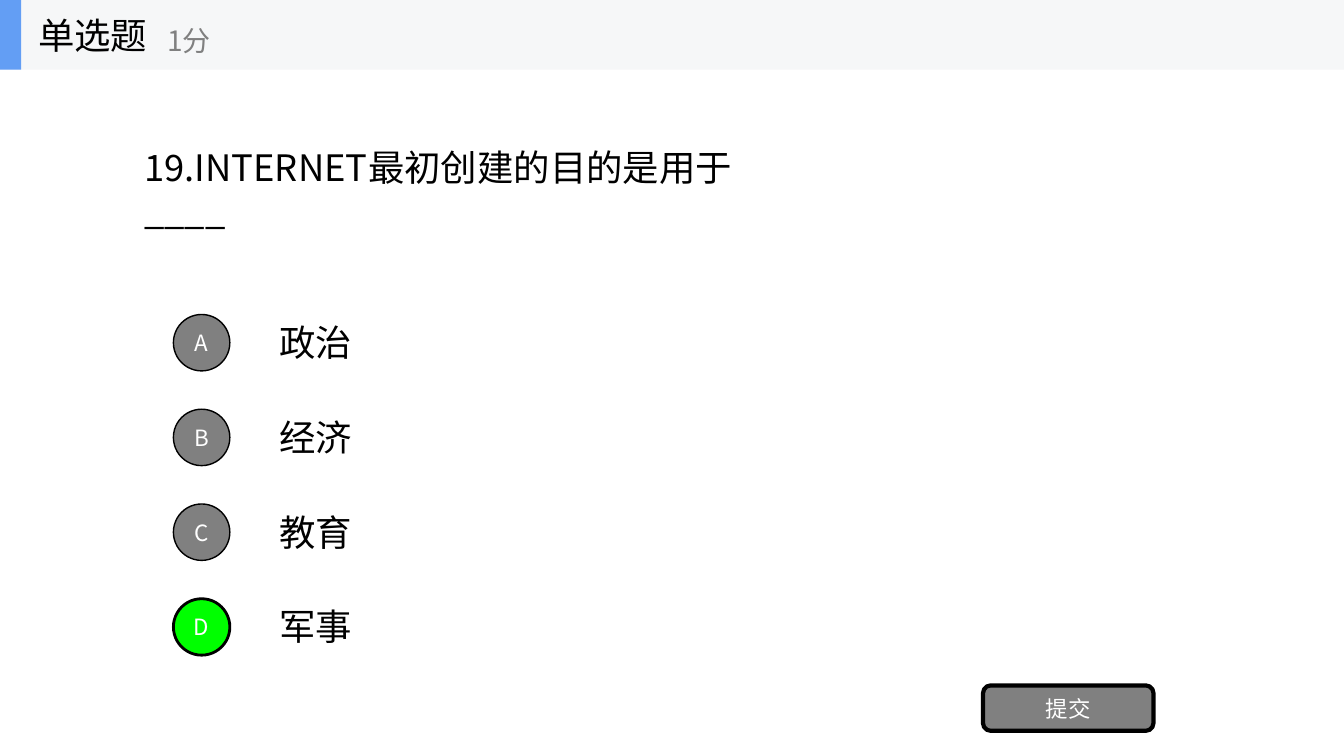
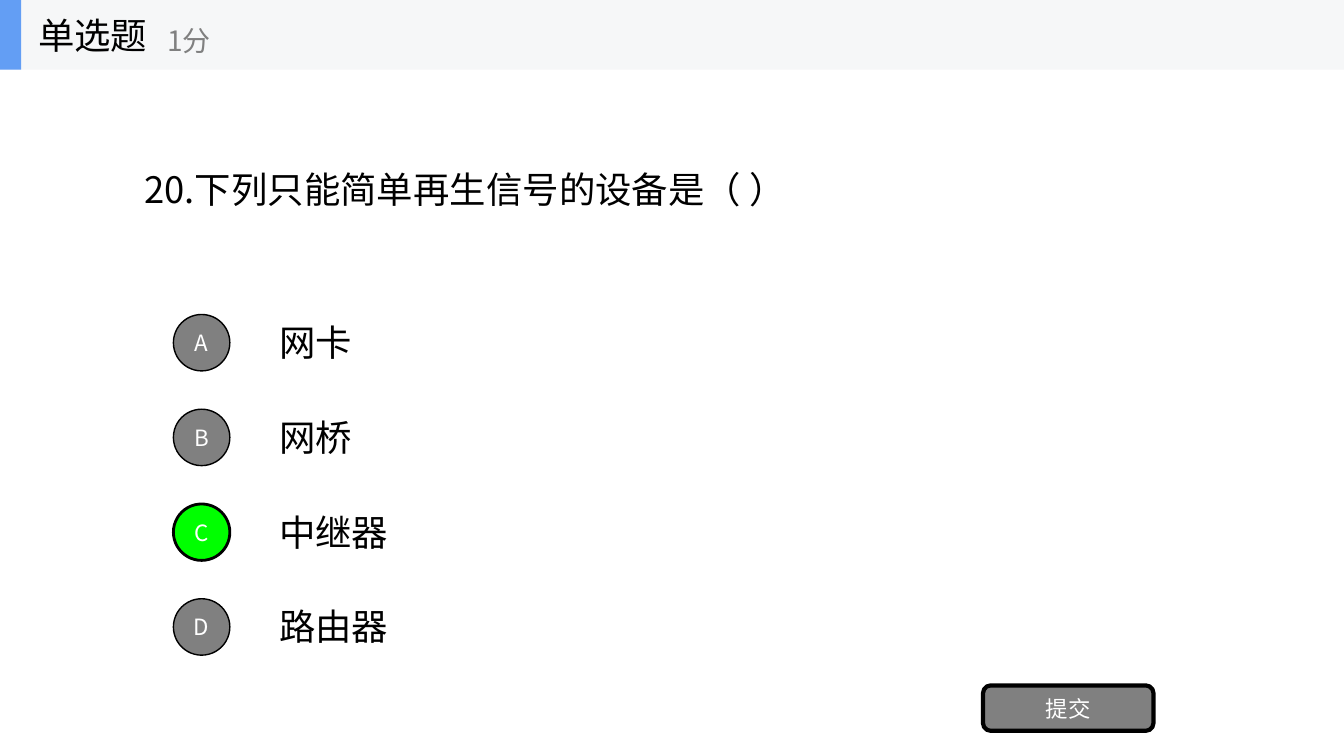
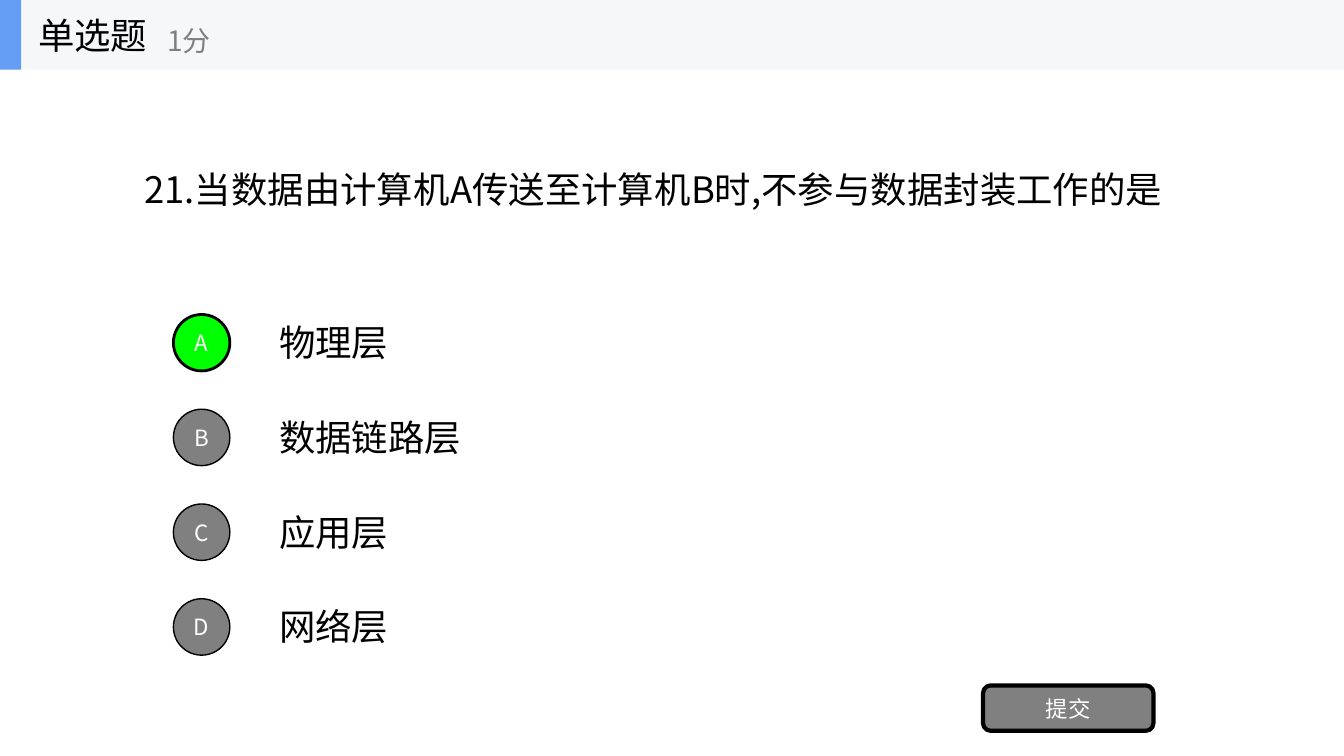
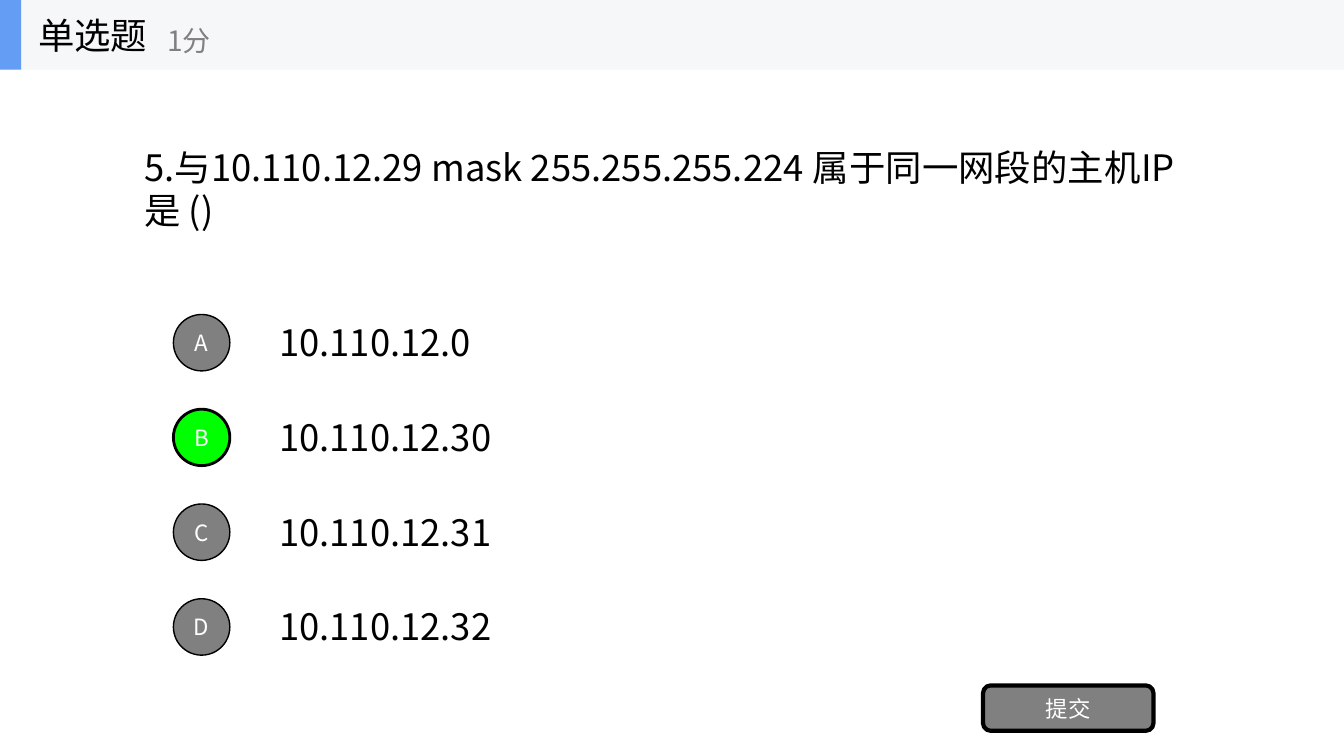
from dataclasses import dataclass

from lxml.etree import SubElement
from pptx import Presentation
from pptx.dml.color import RGBColor
from pptx.enum.shapes import MSO_SHAPE as Preset
from pptx.enum.text import MSO_ANCHOR as Anchor, MSO_AUTO_SIZE as AutoSize, PP_ALIGN as Align
from pptx.oxml.ns import qn
from pptx.util import Inches, Pt

FONT = "Noto Sans CJK SC"
BLACK, WHITE, GRAY = "000000", "FFFFFF", "808080"
GREEN, BLUE, PALE = "00FF00", "639EF4", "F6F7F8"
TEXT_SIZE, SCORE_SIZE, BUTTON_SIZE = 26, 20, 16

SLIDE_WIDTH, SLIDE_HEIGHT = 13.33, 7.5
BAND_HEIGHT = 0.69
LINE_HEIGHT = 0.53
QUESTION_LEFT, QUESTION_MIDDLE = 1.33, 1.87
OPTION_TOP, OPTION_PITCH = 3.12, 0.94
CIRCLE_LEFT, CIRCLE_SIZE, ANSWER_LEFT = 1.72, 0.56, 2.67


@dataclass
class Question:
    text: str
    options: tuple
    correct: str
    width: float
    height: float = LINE_HEIGHT


QUESTIONS = (
    Question("19.INTERNET最初创建的目的是用于____",
             ("政治", "经济", "教育", "军事"), "D", 6.71),
    Question("20.下列只能简单再生信号的设备是（ ）",
             ("网卡", "网桥", "中继器", "路由器"), "C", 7.8),
    Question("21.当数据由计算机A传送至计算机B时,不参与数据封装工作的是",
             ("物理层", "数据链路层", "应用层", "网络层"), "A", 10.31),
    Question("5.与10.110.12.29 mask 255.255.255.224 属于同一网段的主机IP 是 ()",
             ("10.110.12.0", "10.110.12.30", "10.110.12.31", "10.110.12.32"),
             "B", 10.67, 0.97),
)


def color(value):
    return RGBColor.from_string(value)


def text_width(text):
    em = TEXT_SIZE / 72
    return 0.21 + sum(em / 2 if letter.isascii() else em for letter in text)


class QuizDeck:
    def __init__(self):
        self.presentation = Presentation()
        self.presentation.slide_width = Inches(SLIDE_WIDTH)
        self.presentation.slide_height = Inches(SLIDE_HEIGHT)
        self.slide = None

    def set_text(self, shape, text, size, ink, align=Align.LEFT, wrap=True, fit=AutoSize.NONE):
        frame = shape.text_frame
        frame.text = text
        frame.word_wrap = wrap
        frame.auto_size = fit
        frame.vertical_anchor = Anchor.MIDDLE
        paragraph = frame.paragraphs[0]
        paragraph.alignment = align
        font = paragraph.font
        font.size = Pt(size)
        font.color.rgb = color(ink)
        font.name = FONT
        properties = paragraph._p.pPr.find(qn("a:defRPr"))
        SubElement(properties, qn("a:ea")).set("typeface", FONT)

    def label(self, shapes, box, text, size=TEXT_SIZE, ink=BLACK, **layout):
        shape = shapes.add_textbox(*map(Inches, box))
        self.set_text(shape, text, size, ink, **layout)

    def block(self, shapes, preset, box, fill, line_width=0):
        shape = shapes.add_shape(preset, *map(Inches, box))
        shape.shadow.inherit = False
        shape.fill.solid()
        shape.fill.fore_color.rgb = color(fill)
        if line_width:
            shape.line.color.rgb = color(BLACK)
            shape.line.width = Pt(line_width)
        else:
            shape.line.fill.background()
        return shape

    def button(self, preset, box, text, fill, line_width):
        shape = self.block(self.slide.shapes, preset, box, fill, line_width)
        self.set_text(shape, text, BUTTON_SIZE, WHITE, Align.CENTER)

    def title(self, question):
        title = self.slide.shapes.title
        title.left, title.top = Inches(QUESTION_LEFT), Inches(QUESTION_MIDDLE - question.height / 2)
        title.width, title.height = Inches(question.width), Inches(question.height)
        self.set_text(title, question.text, TEXT_SIZE, BLACK, fit=AutoSize.SHAPE_TO_FIT_TEXT)

    def option(self, row, letter, text, correct):
        top = OPTION_TOP + row * OPTION_PITCH
        self.label(self.slide.shapes, (ANSWER_LEFT, top + 0.01, text_width(text), LINE_HEIGHT),
                   text, fit=AutoSize.SHAPE_TO_FIT_TEXT)
        fill, line_width = (GREEN, 2) if correct else (GRAY, 1)
        self.button(Preset.OVAL, (CIRCLE_LEFT, top, CIRCLE_SIZE, CIRCLE_SIZE),
                    letter, fill, line_width)

    def header(self):
        shapes = self.slide.shapes.add_group_shape().shapes
        self.block(shapes, Preset.RECTANGLE, (0, 0, SLIDE_WIDTH, BAND_HEIGHT), PALE)
        self.block(shapes, Preset.RECTANGLE, (0, 0, 0.21, BAND_HEIGHT), BLUE)
        self.label(shapes, (0.28, 0, 2.08, BAND_HEIGHT), "单选题", wrap=False)
        self.label(shapes, (1.56, 0.12, 2.5, 0.56), "1分", SCORE_SIZE, GRAY, wrap=False)

    def question_slide(self, question):
        self.slide = self.presentation.slides.add_slide(self.presentation.slide_layouts[5])
        self.title(question)
        for row, (letter, text) in enumerate(zip("ABCD", question.options)):
            self.option(row, letter, text, letter == question.correct)
        self.button(Preset.ROUNDED_RECTANGLE, (9.75, 6.8, 1.69, 0.45), "提交", GRAY, 3)
        self.header()


def main():
    deck = QuizDeck()
    for question in QUESTIONS:
        deck.question_slide(question)
    deck.presentation.save("out.pptx")


if __name__ == "__main__":
    main()
